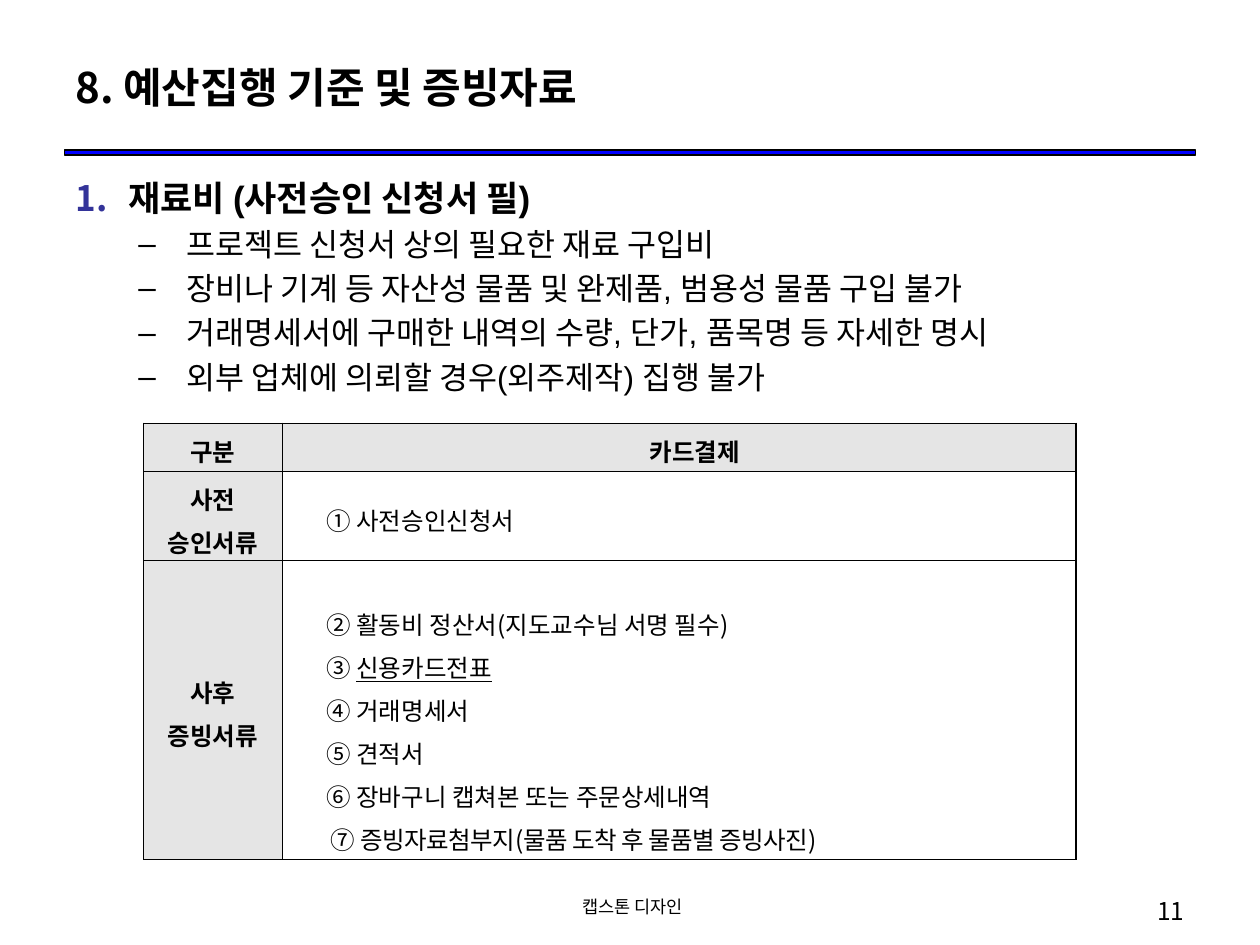
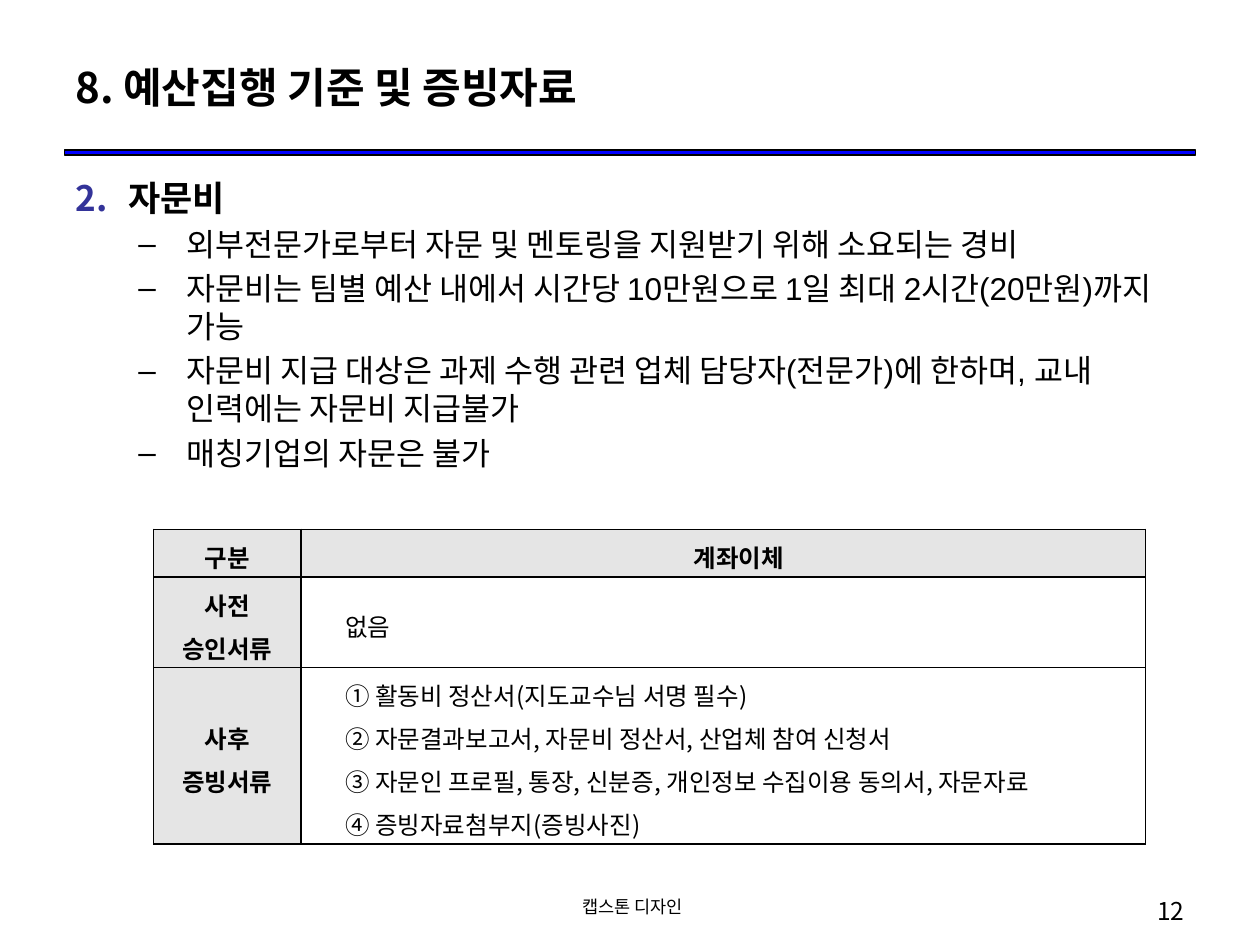
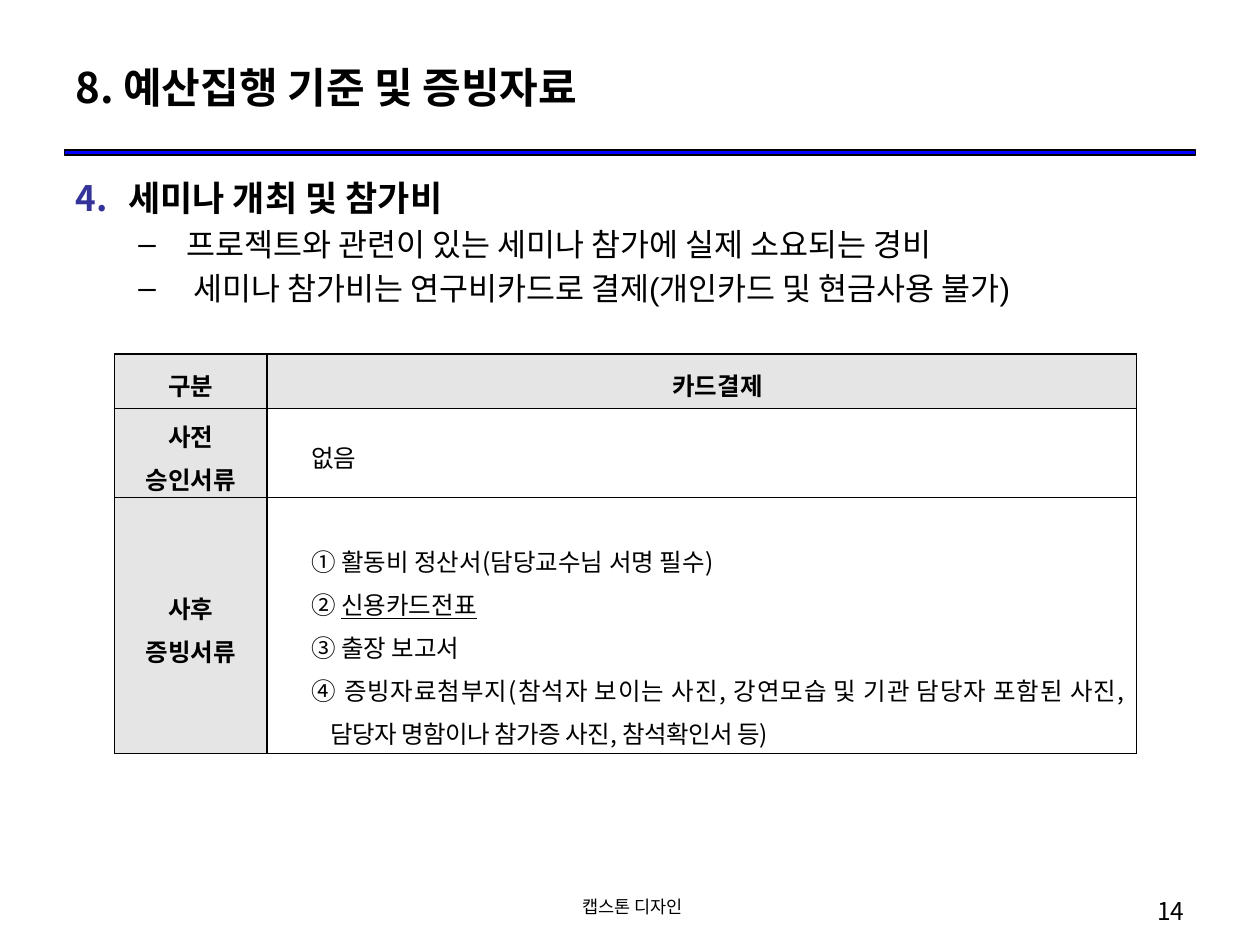
from lxml import etree
from pptx import Presentation
from pptx.dml.color import RGBColor
from pptx.enum.shapes import MSO_SHAPE
from pptx.enum.text import MSO_ANCHOR, PP_ALIGN
from pptx.oxml.ns import qn
from pptx.util import Inches, Pt

LEFT, CENTER, RIGHT, JUSTIFY = PP_ALIGN.LEFT, PP_ALIGN.CENTER, PP_ALIGN.RIGHT, PP_ALIGN.JUSTIFY
TOP, MIDDLE = MSO_ANCHOR.TOP, MSO_ANCHOR.MIDDLE
RECTANGLE = MSO_SHAPE.RECTANGLE

COLORS = {"text": "000000", "rule": "0000FF", "number": "333399", "label": "E5E5E5"}
KOREAN, LATIN = "Noto Sans CJK KR", "Arial"
TITLE = "8. 예산집행 기준 및 증빙자료"
FOOTER = " 캡스톤 디자인"
BORDER_WIDTH = Pt(0.85)
CELL_INDENT = (0.4, -0.15)

# Item styles: indent, underline, letter spacing in hundredths of a point
ITEM_STYLES = {
    "plain": (CELL_INDENT, False, 0),
    "underlined": (CELL_INDENT, True, 0),
    "tight": (CELL_INDENT, False, -30),
    "tight inset": ((0.47, -0.19), False, -30),
}

PAGES = [
    {
        "page": 11, "number": 1, "heading": "재료비 (사전승인 신청서 필)",
        "points": ["프로젝트 신청서 상의 필요한 재료 구입비",
                   "장비나 기계 등 자산성 물품 및 완제품, 범용성 물품 구입 불가",
                   "거래명세서에 구매한 내역의 수량, 단가, 품목명 등 자세한 명시",
                   "외부 업체에 의뢰할 경우(외주제작) 집행 불가"],
        "table_at": (1.14, 3.36), "columns": (1.1, 6.3), "rows": (0.38, 0.71, 2.37),
        "payment": "카드결제", "top_gap": 0.28,
        "before": [("① ", "사전승인신청서", "plain")],
        "after": [("② ", "활동비 정산서(지도교수님 서명 필수)", "plain"),
                  ("③ ", "신용카드전표", "underlined"),
                  ("④ ", "거래명세서", "plain"),
                  ("⑤ ", "견적서", "plain"),
                  ("⑥ ", "장바구니 캡쳐본 또는 주문상세내역", "plain"),
                  ("⑦ ", "증빙자료첨부지(물품 도착 후 물품별 증빙사진)", "tight inset")],
    },
    {
        "page": 12, "number": 2, "heading": "자문비",
        "points": ["외부전문가로부터 자문 및 멘토링을 지원받기 위해 소요되는 경비",
                   "자문비는 팀별 예산 내에서 시간당 10만원으로 1일 최대 2시간(20만원)까지 가능",
                   "자문비 지급 대상은 과제 수행 관련 업체 담당자(전문가)에 한하며, "
                   "교내 인력에는 자문비 지급불가",
                   "매칭기업의 자문은 불가"],
        "table_at": (1.22, 4.2), "columns": (1.17, 6.7), "rows": (0.38, 0.72, 1.4),
        "payment": "계좌이체", "top_gap": 0,
        "before": [("", "없음", "plain")],
        "after": [("① ", "활동비 정산서(지도교수님 서명 필수)", "plain"),
                  ("② ", "자문결과보고서, 자문비 정산서, 산업체 참여 신청서", "plain"),
                  ("③ ", "자문인 프로필, 통장, 신분증, 개인정보 수집이용 동의서, 자문자료", "plain"),
                  ("④ ", "증빙자료첨부지(증빙사진)", "plain")],
    },
    {
        "page": 14, "number": 4, "heading": "세미나 개최 및 참가비",
        "points": ["프로젝트와 관련이 있는 세미나 참가에 실제 소요되는 경비",
                   " 세미나 참가비는 연구비카드로 결제(개인카드 및 현금사용 불가)"],
        "table_at": (0.91, 2.81), "columns": (1.21, 6.9), "rows": (0.43, 0.71, 2.03),
        "payment": "카드결제", "top_gap": 0.28,
        "before": [("", "없음", "plain")],
        "after": [("① ", "활동비 정산서(담당교수님 서명 필수)", "plain"),
                  ("② ", "신용카드전표", "underlined"),
                  ("③ ", "출장 보고서", "plain"),
                  ("④ ", "증빙자료첨부지(참석자 보이는 사진, 강연모습 및 기관 담당자 포함된 사진, "
                         "담당자 명함이나 참가증 사진, 참석확인서 등)", "tight")],
    },
]


def style_paragraph(paragraph, size, bold=False, align=LEFT, indent=(0, 0), font=KOREAN):
    """Set font, alignment and indent; return the default run properties."""
    paragraph.alignment = align
    paragraph.font.name = font
    paragraph.font.size = Pt(size)
    paragraph.font.bold = bold
    paragraph.font.color.rgb = RGBColor.from_string(COLORS["text"])
    properties = paragraph._p.get_or_add_pPr()
    properties.set("marL", str(Inches(indent[0])))
    properties.set("indent", str(Inches(indent[1])))
    defaults = properties.find(qn("a:defRPr"))
    etree.SubElement(defaults, qn("a:ea"), typeface=KOREAN)
    return defaults


def add_text_box(page, place, anchor=TOP):
    """Add a wrapping text box and return its frame."""
    frame = page.shapes.add_textbox(*[Inches(length) for length in place]).text_frame
    frame.word_wrap = True
    frame.vertical_anchor = anchor
    return frame


deck = Presentation()
deck.slide_width, deck.slide_height = Inches(10), Inches(7.5)

for content in PAGES:
    page = deck.slides.add_slide(deck.slide_layouts[6])

    # Rule under the title
    rule = page.shapes.add_shape(RECTANGLE, Inches(0.51), Inches(1.19), Inches(8.98), Inches(0.04))
    rule.shadow.inherit = False
    rule.fill.solid()
    rule.fill.fore_color.rgb = RGBColor.from_string(COLORS["rule"])
    rule.line.color.rgb = RGBColor.from_string(COLORS["text"])
    rule.line.width = Pt(0.75)

    # Title, footer and page number
    for text, place, size, bold, align, anchor in (
        (TITLE, (0.5, 0.3, 9, 0.77), 24, True, LEFT, MIDDLE),
        (FOOTER, (3.42, 7.06, 3.17, 0.29), 10, False, CENTER, TOP),
        (str(content["page"]), (7.17, 7.06, 2.33, 0.29), 14, False, RIGHT, TOP),
    ):
        paragraph = add_text_box(page, place, anchor).paragraphs[0]
        paragraph.text = text
        style_paragraph(paragraph, size, bold, align)

    # Numbered heading
    body = add_text_box(page, (0.5, 1.35, 9, 5.71))
    heading = body.paragraphs[0]
    heading.text = content["heading"]
    heading.line_spacing = Pt(24)
    defaults = style_paragraph(heading, 20, True, indent=(0.42, -0.42), font=LATIN)
    bullet_color = etree.Element(qn("a:buClr"))
    etree.SubElement(bullet_color, qn("a:srgbClr"), val=COLORS["number"])
    defaults.addprevious(bullet_color)
    defaults.addprevious(etree.Element(qn("a:buFont"), typeface=KOREAN))
    defaults.addprevious(etree.Element(qn("a:buAutoNum"), type="arabicPeriod",
                                       startAt=str(content["number"])))

    # Dashed points
    for text in content["points"]:
        point = body.add_paragraph()
        point.text = text
        point.level = 1
        point.line_spacing = Pt(21.7)
        point.space_before = Pt(3.6)
        defaults = style_paragraph(point, 18, indent=(0.88, -0.38), font=LATIN)
        defaults.addprevious(etree.Element(qn("a:buFont"), typeface=LATIN))
        defaults.addprevious(etree.Element(qn("a:buChar"), char="–"))

    # Table of required documents
    left, top = content["table_at"]
    columns, rows = content["columns"], content["rows"]
    table = page.shapes.add_table(len(rows), len(columns), Inches(left), Inches(top),
                                  Inches(sum(columns)), Inches(sum(rows))).table
    table.first_row = table.horz_banding = False
    for column, width in zip(table.columns, columns):
        column.width = Inches(width)
    for row, height in zip(table.rows, rows):
        row.height = Inches(height)

    # Cell margins, borders and fills
    for cell in table.iter_cells():
        cell.vertical_anchor = MIDDLE
        cell.margin_left = cell.margin_right = Inches(0.1)
        cell.margin_top = cell.margin_bottom = Inches(0.02)
        cell_properties = cell._tc.get_or_add_tcPr()
        for side in ("a:lnL", "a:lnR", "a:lnT", "a:lnB"):
            border = etree.SubElement(cell_properties, qn(side), w=str(BORDER_WIDTH))
            border_fill = etree.SubElement(border, qn("a:solidFill"))
            etree.SubElement(border_fill, qn("a:srgbClr"), val=COLORS["text"])
        cell.fill.background()

    # Header row and label column
    labels = [(0, 0, "구분", (0, 0)), (0, 1, content["payment"], CELL_INDENT),
              (1, 0, "사전 승인서류", (0, 0)), (2, 0, "사후 증빙서류", (0, 0))]
    for row, column, text, indent in labels:
        cell = table.cell(row, column)
        cell.fill.solid()
        cell.fill.fore_color.rgb = RGBColor.from_string(COLORS["label"])
        paragraph = cell.text_frame.paragraphs[0]
        paragraph.text = text
        paragraph.line_spacing = 1.2
        style_paragraph(paragraph, 14, True, CENTER, indent)

    # Document lists
    for row, items in ((1, content["before"]), (2, content["after"])):
        frame = table.cell(row, 1).text_frame
        for index, (marker, text, style) in enumerate(items):
            indent, underline, spacing = ITEM_STYLES[style]
            paragraph = frame.add_paragraph() if index else frame.paragraphs[0]
            paragraph.line_spacing = 1.2
            style_paragraph(paragraph, 14, False, JUSTIFY, indent)
            if style == "plain":
                paragraph.add_run().text = marker + text
                continue
            paragraph.add_run().text = marker
            span = paragraph.add_run()
            span.text = text
            if underline:
                span.font.underline = True
            if spacing:
                span._r.get_or_add_rPr().set("spc", str(spacing))
    table.cell(2, 1).margin_top = Inches(0.02 + content["top_gap"])

deck.save("out.pptx")
